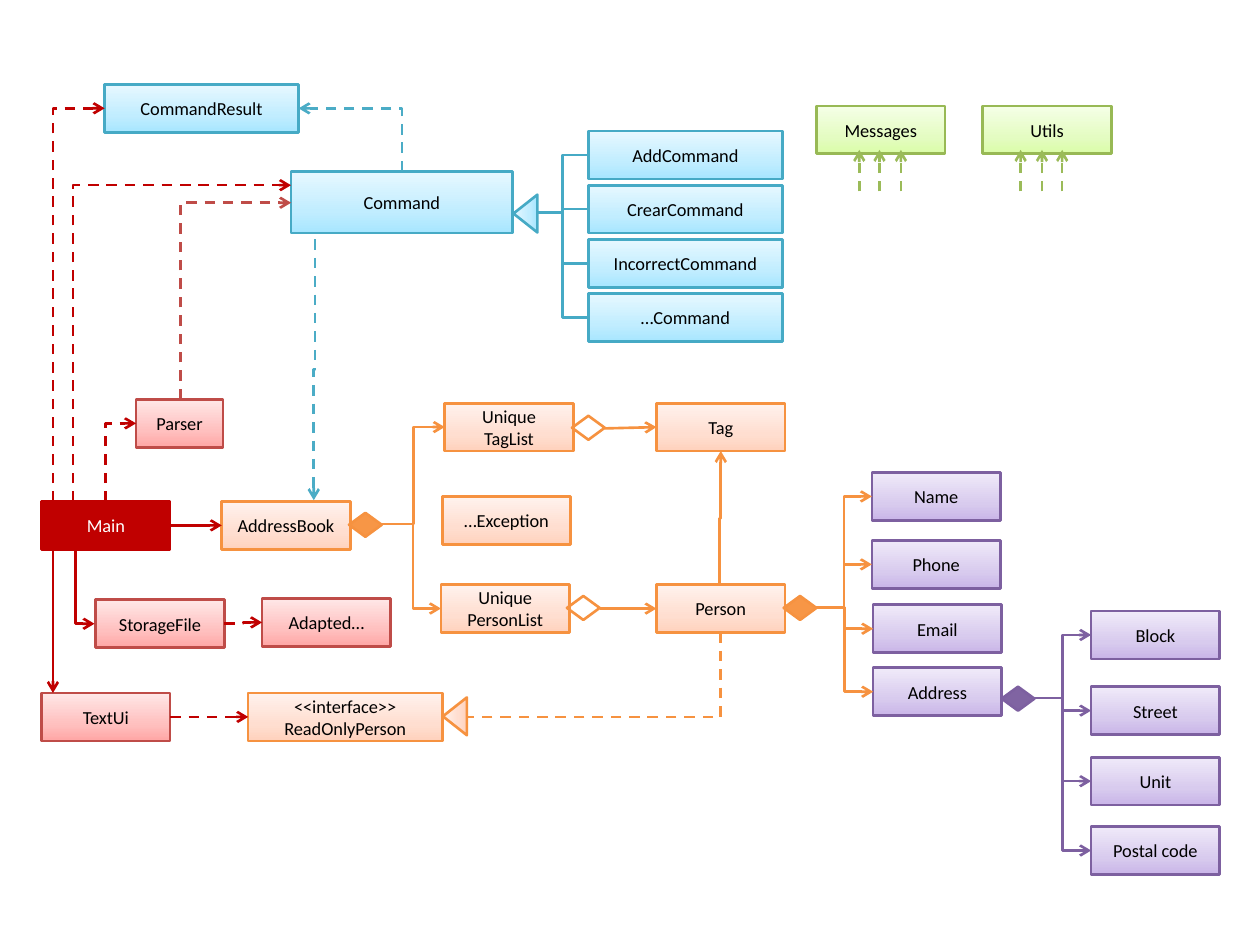
from copy import deepcopy

from lxml.etree import SubElement
from pptx import Presentation
from pptx.dml.color import RGBColor
from pptx.enum.dml import MSO_LINE
from pptx.enum.shapes import MSO_CONNECTOR as Route, MSO_SHAPE as Shape
from pptx.enum.text import MSO_ANCHOR, PP_ALIGN
from pptx.oxml.ns import qn
from pptx.util import Inches, Pt

RED, ROSE, ORANGE = "C00000", "BF4C48", "F69240"
BLUE, TEAL, PURPLE = "46AAC5", "4BACC6", "7D60A0"
LIME, LEAF = "98B955", "9BBB59"
GRADIENTS = {
    ROSE: ("FFA6A5", "FFC0BF", "FFE7E7"),
    ORANGE: ("FFD2BD", "FFDED0", "FFF2ED"),
    BLUE: ("A7E6FF", "C1EDFF", "E7F8FF"),
    PURPLE: ("C9B5E8", "D8CBEE", "F0EAF9"),
    LIME: ("DAFDA7", "E4FCC2", "F5FFE7"),
}
WIDE, NARROW, HEIGHT = 1.54, 1.02, 0.38

WIDE_BOXES = [
    ("CommandResult", 0.83, 0.67, BLUE),
    ("<<interface>>\nReadOnlyPerson", 1.97, 5.5, ORANGE),
]
NARROW_BOXES = [
    ("TextUi", 0.33, 5.5, ROSE),
    ("StorageFile", 0.76, 4.76, ROSE),
    ("Adapted…", 2.08, 4.75, ROSE),
    ("AddressBook", 1.76, 3.98, ORANGE),
    ("Unique\vTagList", 3.53, 3.2, ORANGE),
    ("…Exception", 3.51, 3.94, ORANGE),
    ("Unique\vPersonList", 3.5, 4.64, ORANGE),
    ("Tag", 5.21, 3.2, ORANGE),
    ("Person", 5.21, 4.64, ORANGE),
]
COMMANDS = ["AddCommand", "CrearCommand", "IncorrectCommand", "…Command"]
PERSON_PARTS = [("Name", 6.92, 3.75), ("Phone", 6.92, 4.29),
                ("Email", 6.93, 4.8), ("Address", 6.93, 5.3)]
ADDRESS_PARTS = [("Block", 4.85), ("Street", 5.45),
                 ("Unit", 6.01), ("Postal code", 6.56)]
HELPERS = [("Messages", 6.48, (6.82, 6.98, 7.15)),
           ("Utils", 7.8, (8.1, 8.27, 8.43))]
DIAMONDS = [
    (2.77, 4.07, ORANGE, "F79646"),
    (6.22, 4.73, ORANGE, "F79646"),
    (7.95, 5.45, PURPLE, "8064A2"),
    (4.54, 3.3, ORANGE, None),
    (4.5, 4.73, ORANGE, None),
]
SOLID_CORNERS = [((0.6, 4.37), (0.75, 4.95), RED)]
DASHED_CORNERS = [
    ((0.84, 3.98), (1.08, 3.36), RED),
    ((1.43, 3.17), (2.31, 1.61), ROSE),
    ((0.58, 3.98), (2.31, 1.47), RED),
    ((0.42, 3.98), (0.83, 0.86), RED),
    ((3.19, 1.36), (2.37, 0.86), TEAL),
]
STRAIGHT_ARROWS = [
    ((1.35, 4.17), (1.76, 4.17), RED),
    ((4.8, 3.4), (5.21, 3.39), ORANGE),
    ((4.76, 4.83), (5.21, 4.83), ORANGE),
]


def rgb(value):
    return RGBColor.from_string(value)


def fill_gradient(shape, colours):
    shape.fill.gradient()
    shape.fill.gradient_angle = 90
    stop_list = shape._element.spPr.find(".//" + qn("a:gsLst"))
    stop_list.append(deepcopy(stop_list[0]))
    for stop, position, colour in zip(shape.fill.gradient_stops, (0, 0.35, 1), colours):
        stop.position = position
        stop.color.rgb = rgb(colour)


def add_outlined(page, kind, left, top, width, height, colour):
    shape = page.shapes.add_shape(
        kind, Inches(left), Inches(top), Inches(width), Inches(height))
    shape.shadow.inherit = False
    shape.line.color.rgb = rgb(colour)
    shape.line.width = Pt(1.5)
    return shape


def add_box(page, text, left, top, colour, width=NARROW, height=HEIGHT):
    box = add_outlined(page, Shape.RECTANGLE, left, top, width, height, colour)
    if colour in GRADIENTS:
        fill_gradient(box, GRADIENTS[colour])
    else:
        box.fill.solid()
        box.fill.fore_color.rgb = rgb(colour)
    frame = box.text_frame
    frame.word_wrap = True
    frame.vertical_anchor = MSO_ANCHOR.MIDDLE
    frame.text = text
    for para in frame.paragraphs:
        para.alignment = PP_ALIGN.CENTER
        para.font.name = "Calibri"
        para.font.size = Pt(10.5)
        para.font.color.rgb = rgb("000000" if colour in GRADIENTS else "FFFFFF")


def add_triangle(page, left, top, colour):
    triangle = add_outlined(page, Shape.ISOSCELES_TRIANGLE, left, top, 0.3, 0.19, colour)
    triangle.rotation = 270
    fill_gradient(triangle, GRADIENTS[colour])


def add_diamond(page, left, top, colour, inside):
    diamond = add_outlined(
        page, Shape.FLOWCHART_DECISION, left, top, 0.26, 0.19, colour)
    if inside:
        diamond.fill.solid()
        diamond.fill.fore_color.rgb = rgb(inside)
    else:
        diamond.fill.background()


def add_link(page, start, end, colour, route=Route.STRAIGHT, dashed=False, arrow=True):
    link = page.shapes.add_connector(route, *map(Inches, (*start, *end)))
    link.line.color.rgb = rgb(colour)
    link.line.width = Pt(1.5)
    if dashed:
        link.line.dash_style = MSO_LINE.DASH
    properties = link._element.spPr
    if arrow:
        SubElement(properties.find(qn("a:ln")), qn("a:tailEnd"), type="arrow")
    SubElement(properties, qn("a:effectLst"))
    return properties


def add_across(page, start, end, colour, bend=0.5, **style):
    properties = add_link(page, start, end, colour, Route.ELBOW, **style)
    if bend != 0.5:
        guides = properties.find(".//" + qn("a:avLst"))
        SubElement(guides, qn("a:gd"), name="adj1", fmla=f"val {round(bend * 100000)}")


def add_down(page, start, end, colour, preset="bentConnector3", **style):
    (x1, y1), (x2, y2) = start, end
    middle_x, middle_y = (x1 + x2) / 2, (y1 + y2) / 2
    half_run, half_rise = (y2 - y1) / 2, (x1 - x2) / 2
    properties = add_link(
        page, (middle_x - half_run, middle_y - half_rise),
        (middle_x + half_run, middle_y + half_rise), colour, Route.ELBOW, **style)
    properties.find(qn("a:xfrm")).set("rot", "5400000")
    properties.find(qn("a:prstGeom")).set("prst", preset)


def add_corner(page, start, end, colour, **style):
    add_down(page, start, end, colour, preset="bentConnector2", **style)


def add_boxes(page):
    add_box(page, "Main", 0.33, 3.98, RED)
    add_box(page, "Parser", 1.08, 3.17, ROSE, width=0.69)
    add_box(page, "Command", 2.31, 1.36, BLUE, width=1.76, height=0.49)
    for box in WIDE_BOXES:
        add_box(page, *box, width=WIDE)
    for box in NARROW_BOXES:
        add_box(page, *box)
    for diamond in DIAMONDS:
        add_diamond(page, *diamond)
    add_triangle(page, 4.02, 1.6, BLUE)
    add_triangle(page, 3.46, 5.59, ORANGE)


def add_families(page):
    for index, name in enumerate(COMMANDS):
        top = 1.04 + 0.43 * index
        add_box(page, name, 4.67, top, BLUE, width=WIDE)
        add_across(page, (4.26, 1.69), (4.67, top + HEIGHT / 2), BLUE, arrow=False)
    for name, left, top in PERSON_PARTS:
        add_box(page, name, left, top, PURPLE)
        add_across(page, (6.48, 4.82), (left, top + HEIGHT / 2), ORANGE)
    for name, top in ADDRESS_PARTS:
        add_box(page, name, 8.66, top, PURPLE)
        add_across(page, (8.21, 5.54), (8.66, top + HEIGHT / 2), PURPLE)
    for name, left, arrows in HELPERS:
        add_box(page, name, left, 0.84, LIME)
        for x in arrows:
            add_link(page, (x, 1.52), (x, 1.19), LEAF, dashed=True)


def add_links(page):
    for link in STRAIGHT_ARROWS:
        add_link(page, *link)
    for link in SOLID_CORNERS:
        add_corner(page, *link)
    for link in DASHED_CORNERS:
        add_corner(page, *link, dashed=True)
    add_corner(page, (5.72, 5.02), (3.7, 5.69), ORANGE, dashed=True, arrow=False)
    add_down(page, (0.42, 4.36), (0.42, 5.5), RED)
    add_down(page, (5.71, 4.65), (5.72, 3.58), ORANGE)
    add_down(page, (2.5, 1.9), (2.49, 3.97), TEAL, dashed=True)
    add_across(page, (3.03, 4.16), (3.53, 3.39), ORANGE)
    add_across(page, (3.03, 4.16), (3.5, 4.83), ORANGE, bend=0.53)
    add_across(page, (1.35, 5.69), (1.97, 5.69), RED, dashed=True)
    add_across(page, (1.78, 4.95), (2.08, 4.94), RED, dashed=True)


def main():
    deck = Presentation()
    deck.slide_width, deck.slide_height = Inches(10), Inches(7.5)
    page = deck.slides.add_slide(deck.slide_layouts[6])
    add_boxes(page)
    add_families(page)
    add_links(page)
    deck.save("out.pptx")


if __name__ == "__main__":
    main()
